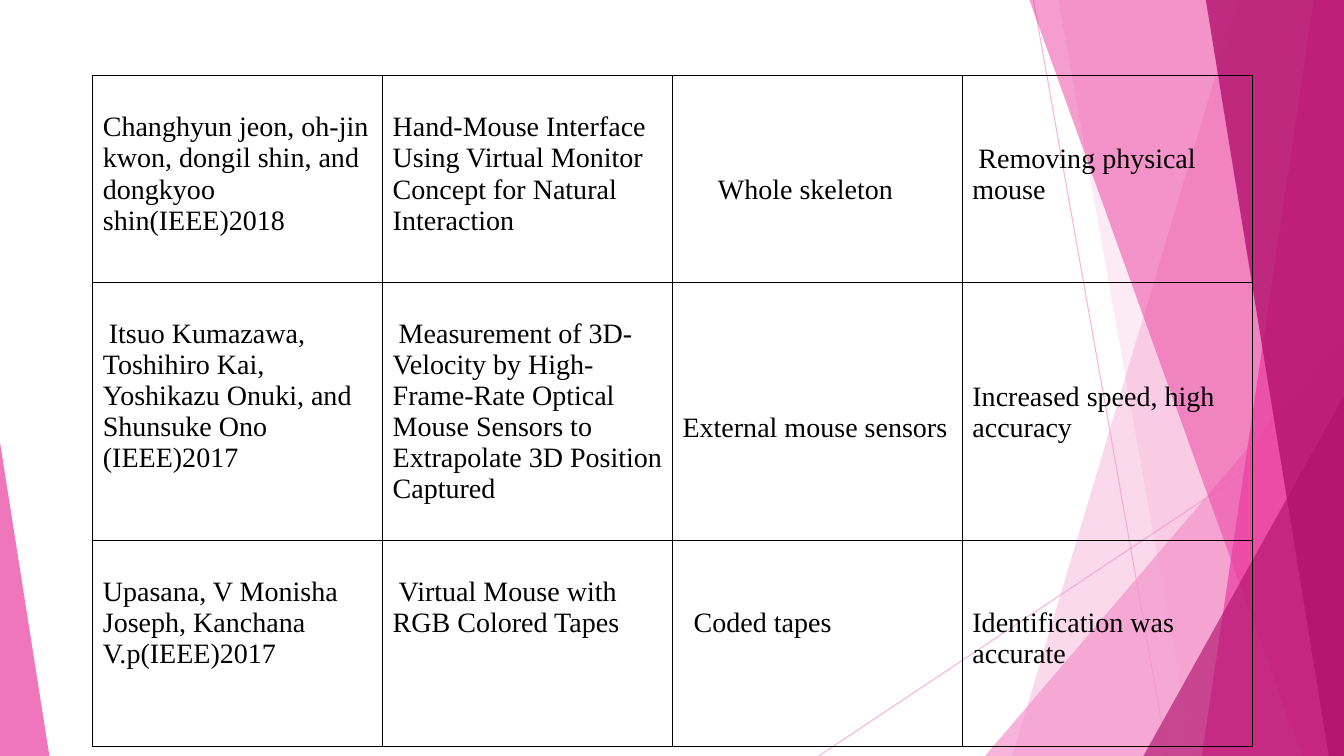
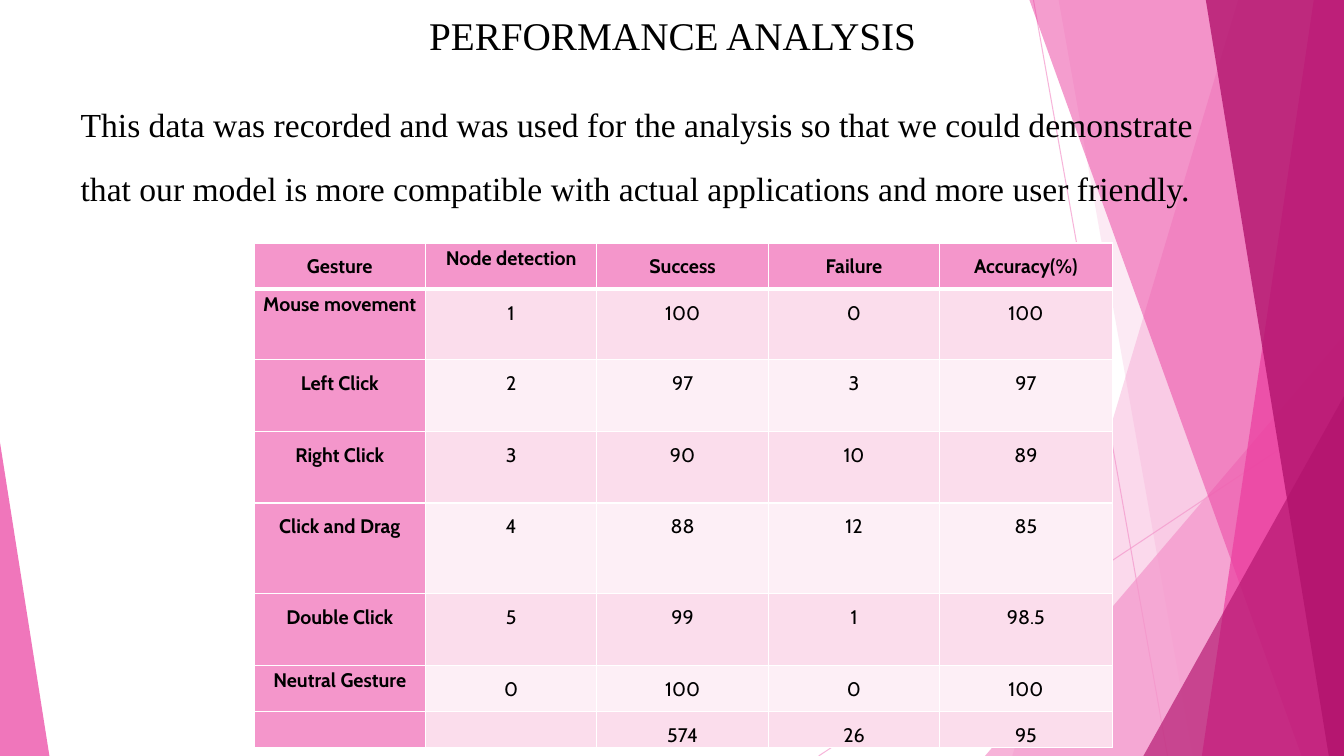
from lxml.etree import SubElement
from pptx import Presentation
from pptx.dml.color import RGBColor
from pptx.enum.shapes import MSO_CONNECTOR, MSO_SHAPE
from pptx.enum.text import MSO_ANCHOR, MSO_AUTO_SIZE, PP_ALIGN
from pptx.oxml import parse_xml
from pptx.oxml.ns import nsdecls, qn
from pptx.util import Inches, Pt

W, H = 13.33, 7.5
COLORS = {
    "black": "000000", "white": "FFFFFF", "light": "F496CB", "pink": "EB3D9F",
    "deep": "B2136D", "band_odd": "FBDDEC", "band_even": "FDEFF6",
}
SERIF, SANS = "Times New Roman", "Cabin"
LINE_20PT = 0.31

# (top x, bottom x) for strips reaching the right edge; a box and apex for triangles
FACETS = [
    ("strip", (12.28, 10.04), "light", 36),
    ("strip", (10.5, 11.83), "light", 20),
    ("triangle", (9.77, 3.33, 3.56, 4.17, 1), "light", 72),
    ("strip", (10.21, 12.91), "pink", 50),
    ("strip", (13.03, 11.92), "pink", 70),
    ("strip", (11.96, 13.18), "deep", 80),
    ("triangle", (11.34, 3.93, 1.99, 3.57, 1), "deep", 66),
    ("triangle", (0, 4.39, 0.49, 3.11, 0), "pink", 70),
]
RAYS = [(10.25, 0, 11.58, H), (W, 4.03, 8.12, H)]

# Each cell: lines skipped above the text, first-line indent, paragraphs
PAPERS = [
    [(1, 0, ["Changhyun jeon, oh-jin kwon, dongil shin, and dongkyoo shin(IEEE)2018"]),
     (1, 0, ["Hand-Mouse Interface Using Virtual Monitor Concept for Natural Interaction"]),
     (3, 0.35, ["Whole skeleton"]),
     (2, 0.06, ["Removing physical mouse"])],
    [(1, 0.06, ["Itsuo Kumazawa, Toshihiro Kai, Yoshikazu Onuki, and Shunsuke Ono",
                "(IEEE)2017"]),
     (1, 0.06, ["Measurement of 3D-Velocity by High-Frame-Rate Optical Mouse Sensors "
                "to Extrapolate 3D Position Captured"]),
     (4, 0, ["External mouse sensors"]),
     (3, 0, ["Increased speed, high accuracy"])],
    [(1, 0, ["Upasana, V Monisha Joseph, Kanchana V.p(IEEE)2017"]),
     (1, 0.06, ["Virtual Mouse with RGB Colored Tapes"]),
     (2, 0.11, ["Coded tapes"]),
     (2, 0, ["Identification was accurate"])],
]

RESULTS = [
    ["Gesture", "Node detection", "Success", "Failure", "Accuracy(%)"],
    ["Mouse movement", "1", "100", "0", "100"],
    ["Left Click", "2", "97", "3", "97"],
    ["Right Click", "3", "90", "10", "89"],
    ["Click and Drag", "4", "88", "12", "85"],
    ["Double Click", "5", "99", "1", "98.5"],
    ["Neutral Gesture", "0", "100", "0", "100"],
    ["", "", "574", "26", "95"],
]
TIGHT_LABELS = {"Node detection", "Mouse movement", "Neutral Gesture"}


def rgb(name):
    return RGBColor.from_string(COLORS[name])


def set_attrs(obj, **values):
    for name, value in values.items():
        setattr(obj, name, value)


def set_font(p, text, name, size, bold=False):
    r = p.add_run()
    r.text = text
    set_attrs(r.font, name=name, size=Pt(size), bold=bold)
    r.font.color.rgb = rgb("black")


def set_alpha(shape, percent):
    for clr in shape._element.spPr.iter(qn("a:srgbClr")):
        SubElement(clr, qn("a:alpha")).set("val", str(percent * 1000))


def add_ray(shapes, ends):
    ray = shapes.add_connector(MSO_CONNECTOR.STRAIGHT, *map(Inches, ends))
    ray.line.color.rgb = rgb("light")
    ray.line.width = Pt(0.75)
    SubElement(ray._element.spPr, qn("a:effectLst"))
    set_alpha(ray, 70)


def add_facet(shapes, kind, geometry, color, alpha):
    if kind == "strip":
        top, bottom = geometry
        outline = shapes.build_freeform(Inches(top), 0)
        corners = [(W, 0), (W, H), (bottom, H)]
        outline.add_line_segments([(Inches(x), Inches(y)) for x, y in corners])
        facet = outline.convert_to_shape()
    else:
        *box, apex = geometry
        facet = shapes.add_shape(MSO_SHAPE.ISOSCELES_TRIANGLE, *map(Inches, box))
        facet.adjustments[0] = apex
    facet.shadow.inherit = False
    facet.fill.solid()
    facet.fill.fore_color.rgb = rgb(color)
    facet.line.fill.background()
    set_alpha(facet, alpha)


def decorate_master(prs, s):
    """Draw the facets on s, then move them to the master so all slides share them."""
    group = s.shapes.add_group_shape()
    for ends in RAYS:
        add_ray(group.shapes, ends)
    for facet in FACETS:
        add_facet(group.shapes, *facet)
    for number, props in enumerate(group._element.iter(qn("p:cNvPr")), 100):
        props.set("id", str(number))
    prs.slide_master.shapes.element.insert(2, group._element)


def set_borders(cell, color, top=1, bottom=1):
    tcPr = cell._tc.get_or_add_tcPr()
    widths = {"lnL": 1, "lnR": 1, "lnT": top, "lnB": bottom}
    for i, (tag, width) in enumerate(widths.items()):
        tcPr.insert(i, parse_xml(
            f'<a:{tag} {nsdecls("a")} w="{Pt(width)}"><a:solidFill>'
            f'<a:srgbClr val="{COLORS[color]}"/></a:solidFill></a:{tag}>'))


def add_grid(s, left, top, widths, heights):
    frame = s.shapes.add_table(len(heights), len(widths), Inches(left), Inches(top),
                               Inches(sum(widths)), Inches(sum(heights)))
    table = frame.table
    set_attrs(table, first_row=False, horz_banding=False)
    for column, width in zip(table.columns, widths):
        column.width = Inches(width)
    for row, height in zip(table.rows, heights):
        row.height = Inches(height)
    return table


def add_papers_table(s, left, top, width):
    table = add_grid(s, left, top, [width / 4] * 4, [2.05, 2.56, 2.05])
    for i, row in enumerate(PAPERS):
        for j, (skipped, indent, paragraphs) in enumerate(row):
            cell = table.cell(i, j)
            cell.fill.background()
            cell.margin_top = Inches(0.05 + skipped * LINE_20PT)
            set_borders(cell, "black")
            tf = cell.text_frame
            for k, text in enumerate(paragraphs):
                p = tf.add_paragraph() if k else tf.paragraphs[0]
                if indent and not k:
                    p._p.get_or_add_pPr().set("indent", str(Inches(indent)))
                set_font(p, text, SERIF, 20)


def add_results_table(s, left, top):
    table = add_grid(s, left, top, [1.7] * 4 + [1.71],
                     [0.46, 0.7, 0.71, 0.71, 0.9, 0.71, 0.46, 0.35])
    for i, row in enumerate(RESULTS):
        for j, text in enumerate(row):
            cell = table.cell(i, j)
            heading = i == 0 or j == 0
            band = "band_odd" if i % 2 else "band_even"
            cell.fill.solid()
            cell.fill.fore_color.rgb = rgb("light" if heading else band)
            set_attrs(cell, margin_left=Inches(0.07), margin_right=Inches(0.07),
                      margin_top=0, margin_bottom=0)
            set_borders(cell, "white", top=3 if i == 1 else 1, bottom=1 if i else 3)
            if text:
                p = cell.text_frame.paragraphs[0]
                set_attrs(p, alignment=PP_ALIGN.CENTER,
                          line_spacing=1.15 if text in TIGHT_LABELS else 1.5)
                set_font(p, text, SANS, 14, heading)


def fill_placeholder(sp, box, text, size, **paragraph_format):
    set_attrs(sp, **dict(zip(("left", "top", "width", "height"), map(Inches, box))))
    tf = sp.text_frame
    set_attrs(tf, word_wrap=True, auto_size=MSO_AUTO_SIZE.NONE,
              vertical_anchor=MSO_ANCHOR.TOP)
    p = tf.paragraphs[0]
    pPr = p._p.get_or_add_pPr()
    pPr.set("marL", "0")
    pPr.set("indent", "0")
    SubElement(pPr, qn("a:buNone"))
    set_attrs(p, space_before=Pt(0), **paragraph_format)
    set_font(p, text, SERIF, size)


def papers_slide(prs):
    s = prs.slides.add_slide(prs.slide_layouts[6])
    decorate_master(prs, s)
    add_papers_table(s, 0.92, 0.75, 11.5)


def performance_slide(prs):
    s = prs.slides.add_slide(prs.slide_layouts[1])
    fill_placeholder(s.shapes.title, (0.92, 0.06, 11.5, 0.55), "PERFORMANCE ANALYSIS",
                     28, alignment=PP_ALIGN.CENTER)
    fill_placeholder(
        s.placeholders[1], (0.7, 0.74, 11.5, 1.5),
        "This data was recorded and was used for the analysis so that we could "
        "demonstrate that our model is more compatible with actual applications "
        "and more user friendly.", 24, line_spacing=1.6)
    add_results_table(s, 2.52, 2.41)


def main():
    prs = Presentation()
    set_attrs(prs, slide_width=Inches(W), slide_height=Inches(H))
    papers_slide(prs)
    performance_slide(prs)
    prs.save("out.pptx")


if __name__ == "__main__":
    main()
